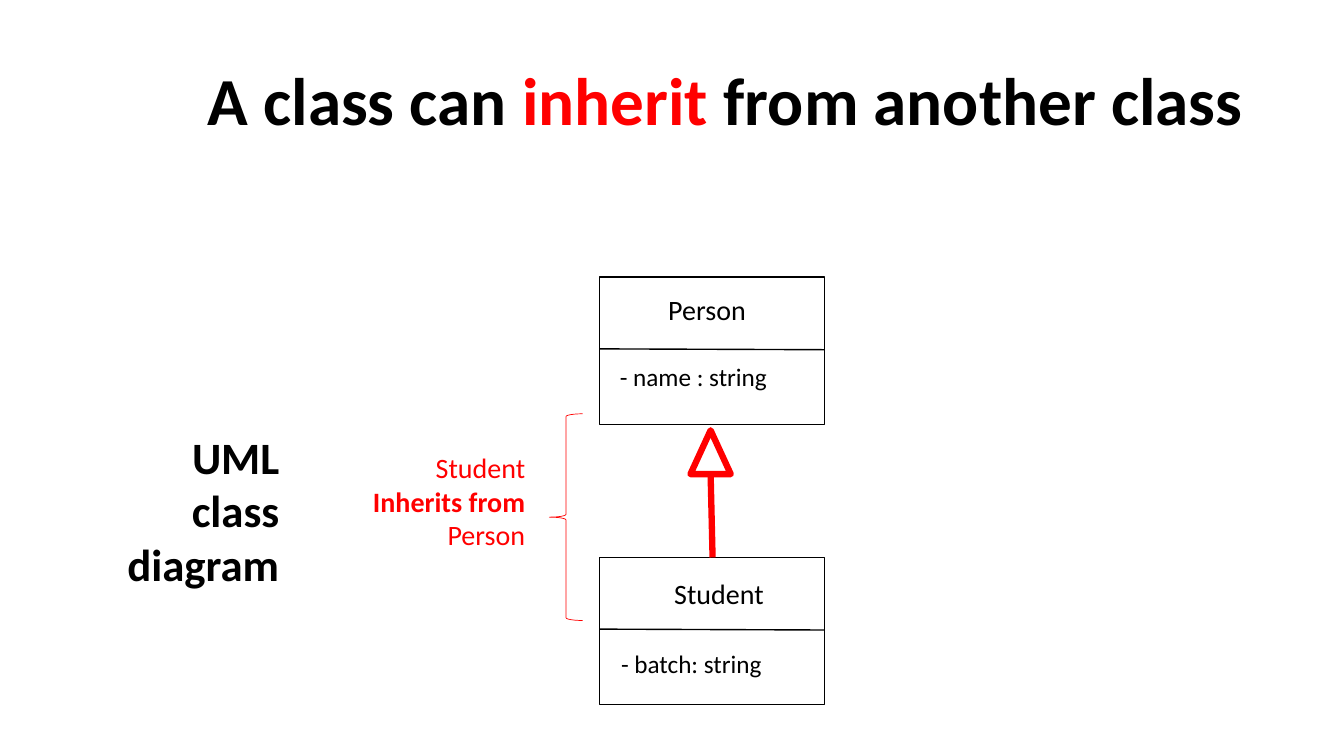
from dataclasses import dataclass

from lxml import etree
from pptx import Presentation
from pptx import util as u
from pptx.dml import color
from pptx.enum import shapes, text
from pptx.oxml import ns

COLORS = {"ink": "000000", "paper": "FFFFFF", "accent": "FF0000"}
LEFT, RIGHT = text.PP_ALIGN.LEFT, text.PP_ALIGN.RIGHT


@dataclass(frozen=True)
class Run:
    text: str
    size: float
    color: str = "ink"
    bold: bool = False


@dataclass(frozen=True)
class Box:
    left: float
    top: float
    width: float
    height: float

    def emu(self) -> list:
        return [u.Pt(v) for v in (self.left, self.top, self.width, self.height)]


@dataclass(frozen=True)
class UmlClass:
    top: float
    name: str
    name_box: Box
    field: str
    field_box: Box


CLASS_LEFT, CLASS_WIDTH, CLASS_HEIGHT, HEADER = 428.4, 160.5, 105.1, 51.2
CLASSES = [
    UmlClass(198, "Person", Box(470.2, 205.2, 70.6, 31.7),
             "- name : string", Box(435.6, 254.2, 144.7, 28.8)),
    UmlClass(398.2, "Student", Box(474.5, 408.2, 79.2, 31.7),
             "- batch: string", Box(436.5, 459.4, 144.7, 28.8)),
]


def rgb(name: str) -> color.RGBColor:
    return color.RGBColor.from_string(COLORS[name])


def write(sp, paragraphs: list, align=LEFT, wrap: bool = True) -> None:
    tf = sp.text_frame
    frame = {"word_wrap": wrap, "auto_size": text.MSO_AUTO_SIZE.NONE,
             "vertical_anchor": text.MSO_ANCHOR.TOP}
    for key, value in frame.items():
        setattr(tf, key, value)
    for i, runs in enumerate(paragraphs):
        p = tf.add_paragraph() if i else tf.paragraphs[0]
        p.alignment = align
        for run in runs:
            r = p.add_run()
            r.text = run.text
            style = {"name": "Calibri", "size": u.Pt(run.size), "bold": run.bold}
            for key, value in style.items():
                setattr(r.font, key, value)
            r.font.color.rgb = rgb(run.color)


def add_label(s, box: Box, paragraphs: list, align=LEFT, wrap: bool = True) -> None:
    write(s.shapes.add_textbox(*box.emu()), paragraphs, align, wrap)


def add_outline(s, kind, box: Box, line: str, weight: float, filled: bool = True) -> None:
    sp = s.shapes.add_shape(kind, *box.emu())
    sp.shadow.inherit = False
    if filled:
        sp.fill.solid()
        sp.fill.fore_color.rgb = rgb("paper")
    else:
        sp.fill.background()
    sp.line.color.rgb = rgb(line)
    sp.line.width = u.Pt(weight)


def add_line(s, x1: float, y1: float, x2: float, y2: float, line: str, weight: float) -> None:
    c = s.shapes.add_connector(shapes.MSO_CONNECTOR.STRAIGHT,
                               *[u.Pt(v) for v in (x1, y1, x2, y2)])
    c.line.color.rgb = rgb(line)
    c.line.width = u.Pt(weight)
    etree.SubElement(c._element.spPr, ns.qn("a:effectLst"))


def add_class(s, uml: UmlClass) -> None:
    add_outline(s, shapes.MSO_SHAPE.RECTANGLE,
                Box(CLASS_LEFT, uml.top, CLASS_WIDTH, CLASS_HEIGHT), "ink", 1)
    add_label(s, uml.name_box, [[Run(uml.name, 20)]], wrap=False)
    add_label(s, uml.field_box, [[Run(uml.field, 18)]])
    divider = uml.top + HEADER
    add_line(s, CLASS_LEFT, divider, CLASS_LEFT + CLASS_WIDTH, divider + 0.6, "ink", 1)


def main() -> None:
    prs = Presentation()
    prs.slide_width, prs.slide_height = u.Pt(960), u.Pt(540)
    s = prs.slides.add_slide(prs.slide_layouts[5])

    title = s.shapes.title
    title.left, title.top, title.width, title.height = Box(141.1, 38.2, 761.8, 65.5).emu()
    write(title, [[Run("A class can ", 48, bold=True),
                   Run("inherit ", 48, "accent", True),
                   Run("from another class", 48, bold=True)]], wrap=False)

    add_label(s, Box(64.1, 303.1, 142.6, 123.8),
              [[Run("UML class diagram", 32, bold=True)]], RIGHT)
    for uml in CLASSES:
        add_class(s, uml)

    add_outline(s, shapes.MSO_SHAPE.ISOSCELES_TRIANGLE,
                Box(493.2, 307.4, 28.8, 31.3), "accent", 4.5)
    add_line(s, 507.6, 339.1, 509, 398.2, "accent", 4.5)

    add_label(s, Box(188.6, 318.2, 193.7, 79.9),
              [[Run("Student", 20, "accent")],
               [Run("Inherits from", 20, "accent", True)],
               [Run("Person", 20, "accent")]], RIGHT)
    add_outline(s, shapes.MSO_SHAPE.LEFT_BRACE,
                Box(392.4, 295.6, 23.8, 147.6), "accent", 0.5, filled=False)

    prs.save("out.pptx")


if __name__ == "__main__":
    main()
